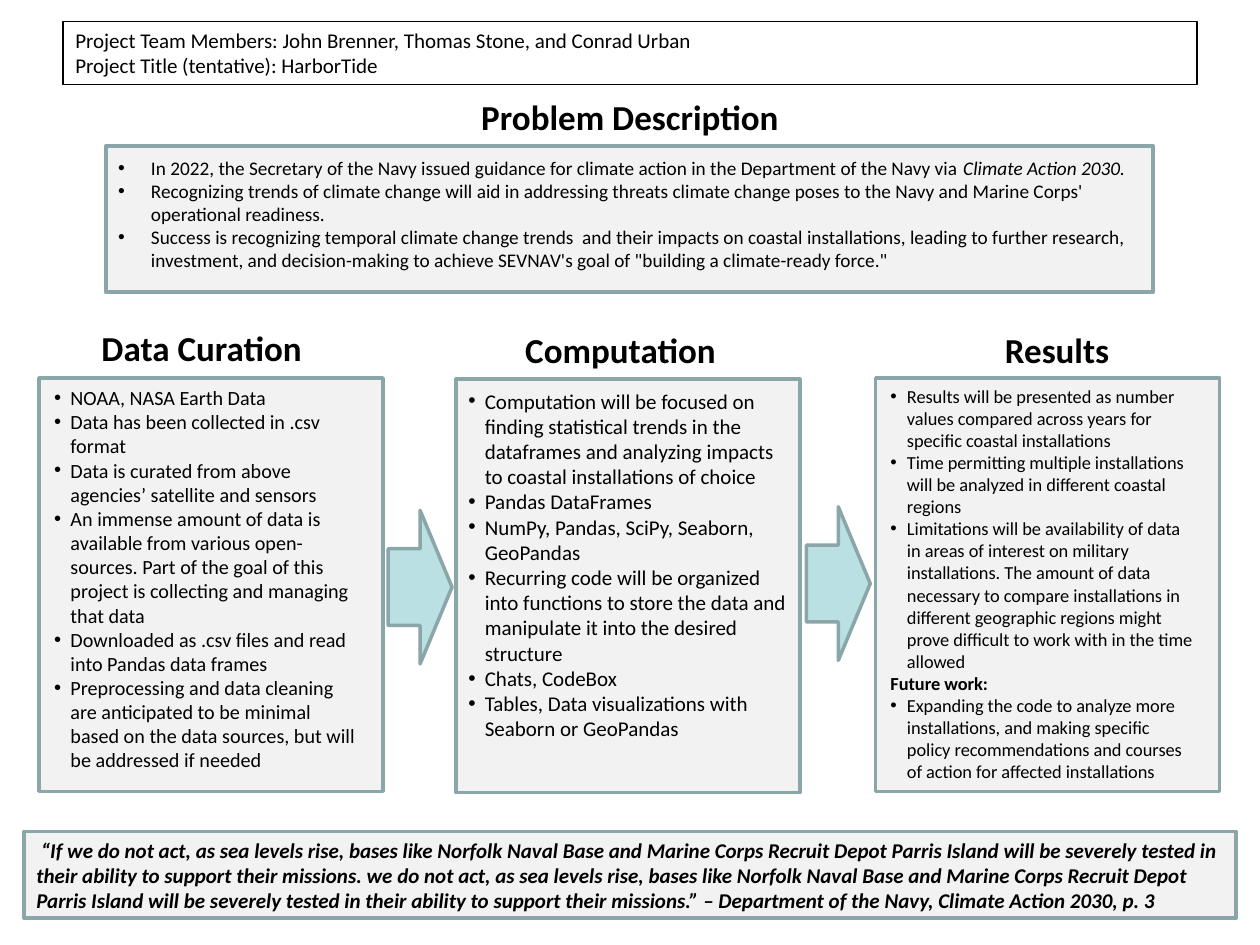
from pptx import Presentation
from pptx.dml.color import RGBColor
from pptx.enum.shapes import MSO_SHAPE as Preset
from pptx.enum.text import MSO_ANCHOR as Anchor, PP_ALIGN as Align
from pptx.oxml.ns import qn
from pptx.util import Pt
from lxml.etree import SubElement

FONT = "Calibri"
BLACK, PANEL, EDGE, ARROW = "000000", "F2F2F2", "8AA6A8", "BBE0E3"
COLUMN_WIDTH, COLUMN_HEIGHT = 196.6, 236.2

PROBLEM = [
    [("In 2022, the Secretary of the Navy issued guidance for climate action "
      "in the Department of the Navy via ", {}),
     ("Climate Action 2030.", {"italic": True})],
    "Recognizing trends of climate change will aid in addressing threats climate "
    "change poses to the Navy and Marine Corps' operational readiness.",
    "Success is recognizing temporal climate change trends  and their impacts on "
    "coastal installations, leading to further research, investment, and "
    "decision-making to achieve SEVNAV's goal of \"building a climate-ready force.\"",
]
CURATION = [
    "NOAA, NASA Earth Data",
    "Data has been collected in .csv format",
    "Data is curated from above agencies’ satellite and sensors",
    "An immense amount of data is available from various open- sources. Part of "
    "the goal of this project is collecting and managing that data",
    "Downloaded as .csv files and read into Pandas data frames",
    "Preprocessing and data cleaning are anticipated to be minimal based on the "
    "data sources, but will be addressed if needed",
]
COMPUTATION = [
    "Computation will be focused on finding statistical trends in the dataframes "
    "and analyzing impacts to coastal installations of choice",
    "Pandas DataFrames",
    "NumPy, Pandas, SciPy, Seaborn, GeoPandas",
    "Recurring code will be organized into functions to store the data and "
    "manipulate it into the desired structure",
    "Chats, CodeBox",
    "Tables, Data visualizations with Seaborn or GeoPandas",
]
FUTURE_WORK = "Future work:"
RESULTS = [
    "Results will be presented as number values compared across years for "
    "specific coastal installations",
    "Time permitting multiple installations will be analyzed in different "
    "coastal regions",
    "Limitations will be availability of data in areas of interest on military "
    "installations. The amount of data necessary to compare installations in "
    "different geographic regions might prove difficult to work with in the time "
    "allowed",
    [(FUTURE_WORK, {"bold": True})],
    "Expanding the code to analyze more installations, and making specific policy "
    "recommendations and courses of action for affected installations",
]
QUOTE = (
    " “If we do not act, as sea levels rise, bases like Norfolk Naval Base and "
    "Marine Corps Recruit Depot Parris Island will be severely tested in their "
    "ability to support their missions. we do not act, as sea levels rise, bases "
    "like Norfolk Naval Base and Marine Corps Recruit Depot Parris Island will be "
    "severely tested in their ability to support their missions.” – Department of "
    "the Navy, Climate Action 2030, p. 3"
)


def color(hex_string):
    return RGBColor.from_string(hex_string)


def set_bullet(paragraph, indent):
    properties = paragraph._p.get_or_add_pPr()
    properties.set("marL", str(Pt(indent)))
    properties.set("indent", str(-Pt(indent)))
    SubElement(properties, qn("a:buFont")).set("typeface", "Arial")
    SubElement(properties, qn("a:buChar")).set("char", "•")


def write(shape, paragraphs, size=12, bold=False, italic=False, align=Align.LEFT,
          anchor=Anchor.TOP, indent=0, wrap=True):
    """Fill a shape; a paragraph is a string or a list of (text, format) runs."""
    frame = shape.text_frame
    frame.word_wrap = wrap
    frame.vertical_anchor = anchor
    for index, content in enumerate(paragraphs):
        paragraph = frame.paragraphs[0] if index == 0 else frame.add_paragraph()
        paragraph.alignment = align
        runs = [(content, {})] if isinstance(content, str) else content
        if indent and runs[0][0] != FUTURE_WORK:
            set_bullet(paragraph, indent)
        for text, changes in runs:
            run = paragraph.add_run()
            run.text = text
            run.font.name = FONT
            run.font.size = Pt(size)
            run.font.bold = changes.get("bold", bold)
            run.font.italic = changes.get("italic", italic)
            run.font.color.rgb = color(BLACK)


def add_text(slide, left, top, width, height, paragraphs, **text_format):
    box = slide.shapes.add_textbox(Pt(left), Pt(top), Pt(width), Pt(height))
    write(box, paragraphs, **text_format)


def add_heading(slide, left, top, width, text, wrap=True):
    add_text(slide, left, top, width, 31.5, [text], size=20, bold=True,
             align=Align.CENTER, wrap=wrap)


def add_panel(slide, left, top, width, height, preset=Preset.RECTANGLE,
              fill=PANEL, line=EDGE, line_width=2):
    shape = slide.shapes.add_shape(preset, Pt(left), Pt(top), Pt(width), Pt(height))
    shape.shadow.inherit = False
    if fill:
        shape.fill.solid()
        shape.fill.fore_color.rgb = color(fill)
    else:
        shape.fill.background()
    shape.line.color.rgb = color(line)
    shape.line.width = Pt(line_width)
    return shape


def main():
    presentation = Presentation()
    presentation.slide_width, presentation.slide_height = Pt(720), Pt(540)
    slide = presentation.slides.add_slide(presentation.slide_layouts[6])

    # Team and project title
    title = add_panel(slide, 36, 12.2, 648, 36, fill=None, line=BLACK, line_width=0.75)
    write(title, ["Project Team Members: John Brenner, Thomas Stone, and Conrad Urban",
                  "Project Title (tentative): HarborTide"], anchor=Anchor.MIDDLE)

    # Problem description
    add_heading(slide, 267, 51.1, 186, "Problem Description", wrap=False)
    add_panel(slide, 60.5, 83.5, 598.5, 83.5)
    add_text(slide, 60.5, 85.7, 598.5, 74, PROBLEM, size=11, indent=18.7)

    # Three columns: heading (left, top, width), panel, text (left, top, width)
    columns = [
        ("Data Curation", (50, 183, 130.5), (22.3, 216),
         (23.8, 216.7, 189.4), CURATION, 11.5),
        ("Computation", (292.3, 184.3, 124.6), (260.6, 216.7),
         (260.6, 218.2, 196.6), COMPUTATION, 12),
        ("Results", (566.6, 184.3, 75), (500.4, 216),
         (501.8, 216.7, 189.4), RESULTS, 10.5),
    ]
    for heading, heading_place, panel_place, text_place, items, size in columns:
        add_heading(slide, *heading_place, heading)
        add_panel(slide, *panel_place, COLUMN_WIDTH, COLUMN_HEIGHT)
        add_text(slide, *text_place, COLUMN_HEIGHT, items, size=size, indent=9.4)

    # Arrows between the columns
    for left, top in [(221.8, 291.6), (460.8, 289.6)]:
        add_panel(slide, left, top, 36.5, 87.8, Preset.RIGHT_ARROW, ARROW)

    # Closing quote
    quote = add_panel(slide, 13.7, 475.2, 692.6, 49.5)
    write(quote, [QUOTE], bold=True, italic=True, anchor=Anchor.MIDDLE)

    presentation.save("out.pptx")


if __name__ == "__main__":
    main()
